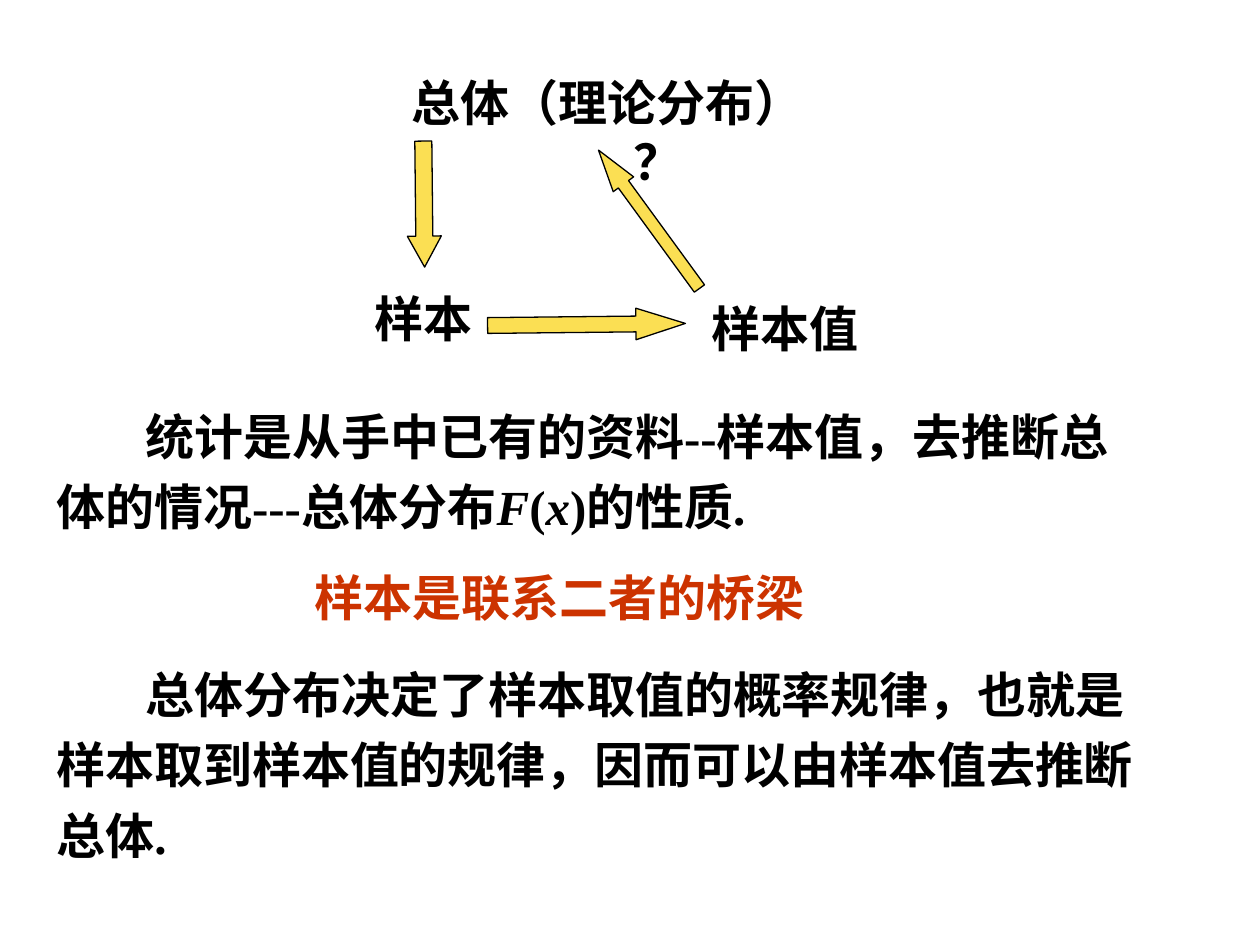
"""Build a slide on how population, sample and sample values relate."""
from pptx import Presentation
from pptx.dml.color import RGBColor
from pptx.enum.shapes import MSO_SHAPE
from pptx.enum.text import MSO_ANCHOR, MSO_AUTO_SIZE, PP_ALIGN
from pptx.util import Inches, Pt

BLACK = "000000"
RED = "CC3300"
YELLOW = "FBDF53"


def color(hex_code):
    """Turn a hex string into a colour."""
    return RGBColor.from_string(hex_code)


def add_frame(slide, left, top, width, height, wrap):
    """Add a vertically centred text box and return its text frame."""
    box = slide.shapes.add_textbox(Inches(left), Inches(top), Inches(width), Inches(height))
    frame = box.text_frame
    frame.word_wrap = wrap
    frame.auto_size = MSO_AUTO_SIZE.SHAPE_TO_FIT_TEXT
    frame.vertical_anchor = MSO_ANCHOR.MIDDLE
    return frame


def style(paragraph, font_color=BLACK):
    """Apply the common bold text style to a paragraph."""
    font = paragraph.font
    font.name = "Times New Roman"
    font.size = Pt(28)
    font.bold = True
    font.color.rgb = color(font_color)


def add_label(slide, text, left, top, width, height=0.57, font_color=BLACK):
    """Add a centred one-line label and return its text frame."""
    frame = add_frame(slide, left, top, width, height, wrap=False)
    label = frame.paragraphs[0]
    label.text = text
    label.alignment = PP_ALIGN.CENTER
    style(label, font_color)
    return frame


def add_title(slide):
    """Add the population label with the offset question mark below it."""
    frame = add_label(slide, "总体（理论分布）", 3.12, 0.52, 3.4, 1.04)
    question = frame.add_paragraph()
    question.text = "？"
    question.alignment = PP_ALIGN.CENTER
    question._p.get_or_add_pPr().set("marL", str(Inches(0.8)))
    style(question)


def add_arrow(slide, left, top, width, height, rotation, head):
    """Add a yellow block arrow turned from pointing down."""
    arrow = slide.shapes.add_shape(
        MSO_SHAPE.DOWN_ARROW, Inches(left), Inches(top), Inches(width), Inches(height))
    arrow.rotation = rotation
    arrow.adjustments[0] = 0.5
    arrow.adjustments[1] = head
    arrow.shadow.inherit = False
    arrow.fill.solid()
    arrow.fill.fore_color.rgb = color(YELLOW)
    arrow.line.color.rgb = color(BLACK)
    arrow.line.width = Pt(0.75)


def add_body(slide, pieces, top, width, height):
    """Add an indented paragraph from pairs of text and italic flag."""
    body = add_frame(slide, 0.35, top, width, height, wrap=True).paragraphs[0]
    body.line_spacing = 1.2
    body._p.get_or_add_pPr().set("indent", str(Inches(0.71)))
    style(body)
    for text, italic in pieces:
        run = body.add_run()
        run.text = text
        if italic:
            run.font.italic = True


def main():
    """Build and save the slide."""
    deck = Presentation()
    deck.slide_width, deck.slide_height = Inches(10), Inches(7.5)
    slide = deck.slides.add_slide(deck.slide_layouts[6])

    add_title(slide)
    add_label(slide, "样本", 2.81, 2.24, 1.1)
    add_label(slide, "样本值", 5.5, 2.32, 1.46)
    add_arrow(slide, 4.53, 1.79, 0.25, 1.57, 269.4, 1.57)
    add_arrow(slide, 3.23, 1.12, 0.27, 1, 359.4, 0.91)
    add_arrow(slide, 5.05, 1.06, 0.2, 1.36, 143.9, 1.68)

    inference = [
        ("统计是从手中已有的资料--样本值，去推断总体的情况---总体分布", False),
        ("F", True), ("(", False), ("x", True), (")的性质.", False),
    ]
    rule = [("总体分布决定了样本取值的概率规律，也就是样本取到样本值的规律，"
             "因而可以由样本值去推断总体.", False)]
    add_body(slide, inference, 3.08, 8.7, 1.22)
    add_body(slide, rule, 5.13, 9, 1.78)
    add_label(slide, "样本是联系二者的桥梁", 2.4, 4.45, 4.08, font_color=RED)
    deck.save("out.pptx")


if __name__ == "__main__":
    main()
